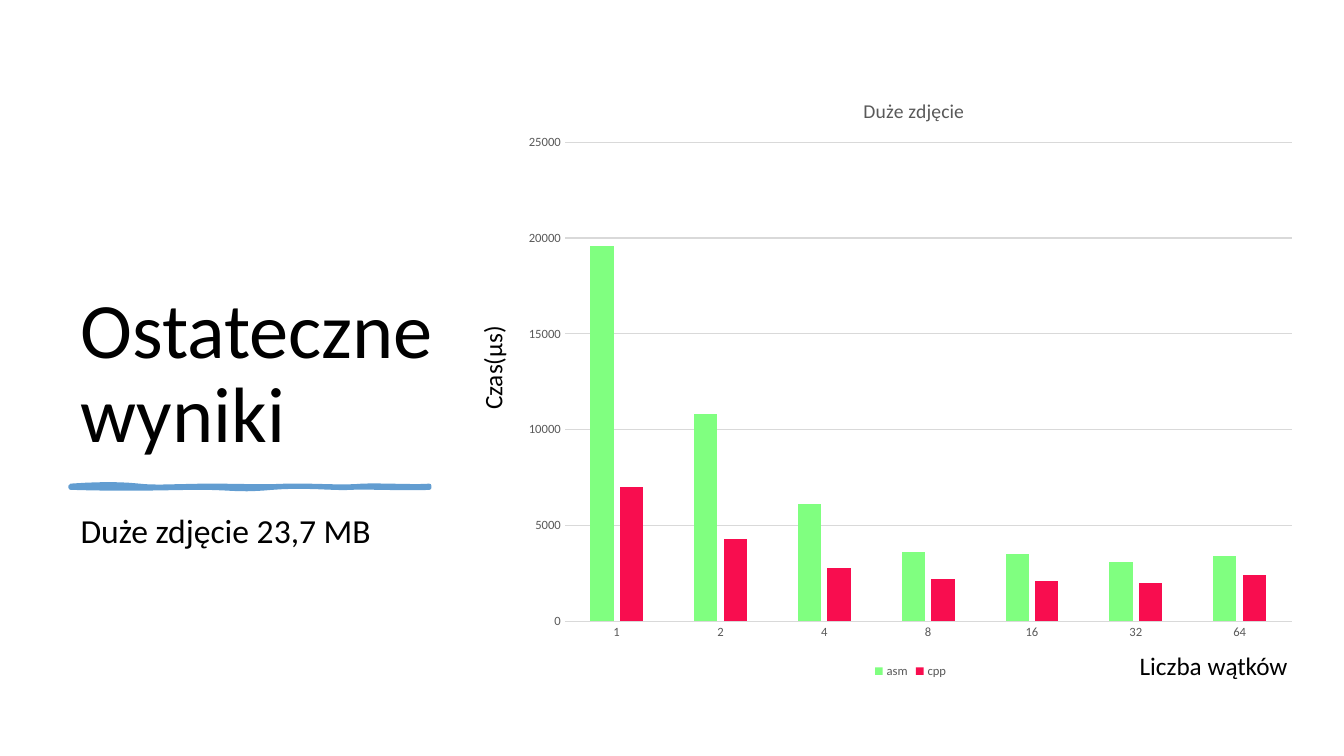
from lxml.etree import SubElement
from pptx import Presentation
from pptx.chart.data import CategoryChartData
from pptx.dml.color import RGBColor
from pptx.enum.chart import XL_CHART_TYPE, XL_LEGEND_POSITION, XL_TICK_MARK
from pptx.enum.text import MSO_ANCHOR
from pptx.oxml.ns import qn
from pptx.util import Cm, Pt

# Content
FONT = "Calibri"
BLACK, GREY, PALE, BLUE = "000000", "595959", "D9D9D9", "629DD1"
# text, (left, top, width, height) in cm, size, anchor, line spacing, space before, turn
TEXTS = [
    ("Ostateczne wyniki", (1.78, 1.78, 9.93, 9.93), 56, MSO_ANCHOR.BOTTOM, 0.9, 0, 0),
    ("Duże zdjęcie 23,7 MB", (1.78, 12.85, 9.93, 4.34), 24, MSO_ANCHOR.TOP, 0.9, 10, 0),
    ("Czas(μs)", (10.76, 8.42, 3.3, 1.02), 18, MSO_ANCHOR.TOP, 1, 0, 270),
    ("Liczba wątków", (28.47, 16.26, 4.6, 1.02), 18, MSO_ANCHOR.TOP, 1, 0, 0),
]
TITLE = "Duże zdjęcie"
THREADS = ["1", "2", "4", "8", "16", "32", "64"]
SERIES = [
    ("asm", "80FF80", [19600, 10800, 6100, 3600, 3500, 3100, 3400]),
    ("cpp", "F80D4F", [7000, 4300, 2800, 2200, 2100, 2000, 2400]),
]
CHART = (12.93, 1.78, 20.04, 15.42)
PLOT = {"x": 0.065, "y": 0.117, "w": 0.914, "h": 0.783}
HEAD = {"x": 0.436, "y": 0.037}
# Brush stroke: start, then two handles and an end for each curve, in cm
START = (1.78, 12.24)
CURVES = [
    ((2.46, 12.19), (3.07, 12.19), (3.51, 12.24)),
    ((3.94, 12.29), (4.5, 12.24), (5.31, 12.24)),
    ((6.12, 12.24), (6.6, 12.27), (7.21, 12.24)),
    ((7.82, 12.22), (8.61, 12.29), (9.12, 12.24)),
    ((9.63, 12.22), (10.46, 12.27), (10.82, 12.24)),
    ((10.82, 12.27), (10.82, 12.29), (10.82, 12.29)),
    ((10.36, 12.32), (9.25, 12.27), (8.84, 12.29)),
    ((8.43, 12.32), (7.72, 12.22), (6.86, 12.29)),
    ((5.97, 12.37), (5.87, 12.29), (5.05, 12.29)),
    ((4.22, 12.29), (3.35, 12.34), (1.78, 12.29)),
]
STEPS = 10


def rgb(code):
    return RGBColor.from_string(code)


def style(font, size, color):
    font.name, font.size, font.bold = FONT, Pt(size), False
    font.color.rgb = rgb(color)


def stroke(line, color, width):
    line.color.rgb = rgb(color)
    line.width = Pt(width)


def label(slide, text, box, size, anchor, space, before, turn):
    shape = slide.shapes.add_textbox(*map(Cm, box))
    shape.rotation = turn
    frame = shape.text_frame
    frame.word_wrap = True
    frame.vertical_anchor = anchor
    para = frame.paragraphs[0]
    para.text = text
    para.line_spacing, para.space_before = space, Pt(before)
    style(para.font, size, BLACK)


def curve(a, b, c, d):
    for i in range(1, STEPS + 1):
        t = i / STEPS
        u = 1 - t
        yield tuple(
            Cm(u**3 * p + 3 * u * u * t * q + 3 * u * t * t * r + t**3 * s)
            for p, q, r, s in zip(a, b, c, d)
        )


def brush(slide):
    pen = slide.shapes.build_freeform(Cm(START[0]), Cm(START[1]))
    last = START
    for one, two, end in CURVES:
        pen.add_line_segments(list(curve(last, one, two, end)), close=False)
        last = end
    pen.add_line_segments([], close=True)
    shape = pen.convert_to_shape()
    shape.shadow.inherit = False
    shape.fill.solid()
    shape.fill.fore_color.rgb = rgb(BLUE)
    stroke(shape.line, BLUE, 3)


def place(layout, spots, inner=False):
    manual = SubElement(layout, qn("c:manualLayout"))
    if inner:
        SubElement(manual, qn("c:layoutTarget")).set("val", "inner")
    for key in ("x", "y"):
        SubElement(manual, qn(f"c:{key}Mode")).set("val", "edge")
    for key, val in spots.items():
        SubElement(manual, qn(f"c:{key}")).set("val", str(val))


def graph(slide):
    data = CategoryChartData()
    data.categories = THREADS
    for name, _, vals in SERIES:
        data.add_series(name, vals)
    chart = slide.shapes.add_chart(
        XL_CHART_TYPE.COLUMN_CLUSTERED, *map(Cm, CHART), data
    ).chart
    style(chart.font, 10, BLACK)

    # Title and legend
    chart.has_title = True
    para = chart.chart_title.text_frame.paragraphs[0]
    para.text = TITLE
    style(para.font, 14, GREY)
    chart.chart_title.include_in_layout = False
    chart.has_legend = True
    chart.legend.position = XL_LEGEND_POSITION.BOTTOM
    chart.legend.include_in_layout = False
    style(chart.legend.font, 9, GREY)

    # Axes
    for axis in (chart.category_axis, chart.value_axis):
        axis.major_tick_mark = axis.minor_tick_mark = XL_TICK_MARK.NONE
        style(axis.tick_labels.font, 9, GREY)
    stroke(chart.category_axis.format.line, PALE, 0.75)
    scale = chart.value_axis
    scale.minimum_scale, scale.maximum_scale, scale.major_unit = 0, 25000, 5000
    scale.format.line.fill.background()
    stroke(scale.major_gridlines.format.line, PALE, 0.75)

    # Columns
    plot = chart.plots[0]
    plot.gap_width, plot.overlap, plot.vary_by_categories = 219, -27, False
    for bars, (_, color, _) in zip(plot.series, SERIES):
        bars.format.fill.solid()
        bars.format.fill.fore_color.rgb = rgb(color)

    # Fixed places of the title and the plot
    for tag, spots, inner in (("title", HEAD, False), ("plotArea", PLOT, True)):
        part = chart.element.find(".//" + qn(f"c:{tag}"))
        layout = part.find(qn("c:layout"))
        if layout is None:
            layout = SubElement(part, qn("c:layout"))
            part.insert(1 if tag == "title" else 0, layout)
        place(layout, spots, inner)


def main():
    deck = Presentation()
    deck.slide_width, deck.slide_height = Cm(33.87), Cm(19.05)
    slide = deck.slides.add_slide(deck.slide_layouts[6])
    brush(slide)
    graph(slide)
    for item in TEXTS:
        label(slide, *item)
    deck.save("out.pptx")


if __name__ == "__main__":
    main()
